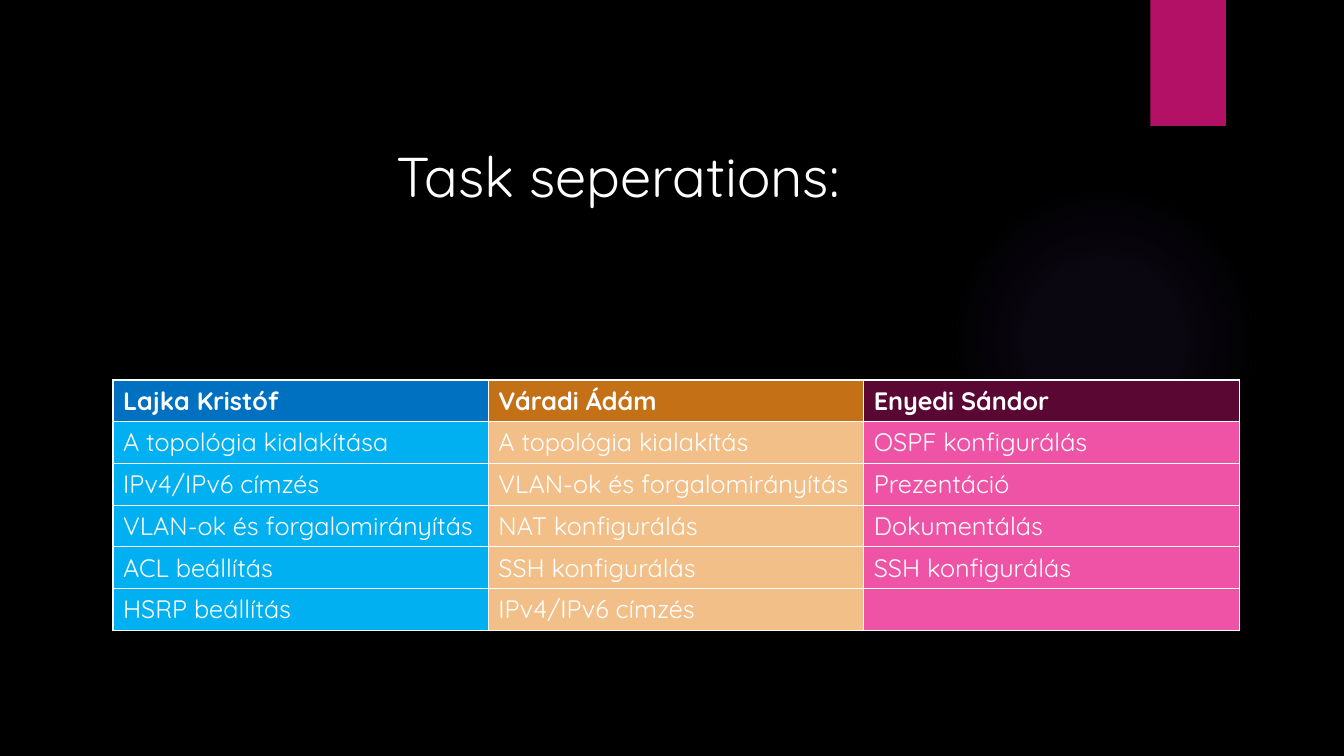
from lxml import etree
from pptx import Presentation
from pptx import util as u
from pptx.dml.color import RGBColor
from pptx.enum import shapes, text
from pptx.oxml import parse_xml
from pptx.oxml.ns import nsdecls, qn

COLOURS = {
    "background": "000000", "text": "FFFFFF", "glow": "9B6BF2", "tab": "B31166",
    "blue": "0070C0", "light blue": "00B0F0",
    "brown": "C47016", "light brown": "F2BF89",
    "plum": "5A0833", "pink": "EF53A5",
}

# Each person: header colour, task colour, name, tasks
PEOPLE = [
    ("blue", "light blue", "Lajka Kristóf",
     ["A topológia kialakítása", "IPv4/IPv6 címzés", "VLAN-ok és forgalomirányítás",
      "ACL beállítás", "HSRP beállítás"]),
    ("brown", "light brown", "Váradi Ádám",
     ["A topológia kialakítás", "VLAN-ok és forgalomirányítás", "NAT konfigurálás",
      "SSH konfigurálás", "IPv4/IPv6 címzés"]),
    ("plum", "pink", "Enyedi Sándor",
     ["OSPF konfigurálás", "Prezentáció", "Dokumentálás", "SSH konfigurálás", ""]),
]


class SlideBuilder:
    font_name = "Quicksand"

    def __init__(self, page):
        self.page = page
        self.fill(page.background, "background")

    def fill(self, target, colour):
        target.fill.solid()
        target.fill.fore_color.rgb = RGBColor.from_string(COLOURS[colour])

    def style(self, para, size, bold=False):
        para.font.name = self.font_name
        para.font.size = u.Pt(size)
        para.font.bold = bold
        para.font.color.rgb = RGBColor.from_string(COLOURS["text"])

    def shape(self, kind, colour, *place):
        shape = self.page.shapes.add_shape(kind, *map(u.Inches, place))
        shape.shadow.inherit = False
        shape.line.fill.background()
        self.fill(shape, colour)
        return shape

    def glow(self, colour, stops, *place):
        """Circle whose radial gradient fades out; stops are (position, opacity) in percent."""
        circle = self.shape(shapes.MSO_SHAPE.OVAL, colour, *place)
        marks = "".join(
            f'<a:gs pos="{position * 1000}"><a:srgbClr val="{COLOURS[colour]}">'
            f'<a:alpha val="{opacity * 1000}"/></a:srgbClr></a:gs>'
            for position, opacity in stops)
        gradient = parse_xml(
            f'<a:gradFill {nsdecls("a")}><a:gsLst>{marks}</a:gsLst><a:path path="circle">'
            '<a:fillToRect l="50000" t="50000" r="50000" b="50000"/></a:path></a:gradFill>')
        properties = circle._element.spPr
        properties.replace(properties.find(qn("a:solidFill")), gradient)

    def title(self, wording, size, *place):
        box = self.page.shapes.title
        box.left, box.top, box.width, box.height = map(u.Inches, place)
        frame = box.text_frame
        frame.text = wording
        frame.word_wrap = False
        frame.auto_size = text.MSO_AUTO_SIZE.NONE
        frame.vertical_anchor = text.MSO_ANCHOR.TOP
        para = frame.paragraphs[0]
        para.alignment = text.PP_ALIGN.LEFT
        para.line_spacing = 1.0
        para.space_before = u.Pt(0)
        self.style(para, size)

    def border(self, cell):
        properties = cell._tc.get_or_add_tcPr()
        for index, side in enumerate(("lnL", "lnR", "lnT", "lnB")):
            line = etree.Element(qn(f"a:{side}"), w=str(u.Pt(1)))
            solid = etree.SubElement(line, qn("a:solidFill"))
            etree.SubElement(solid, qn("a:srgbClr"), val=COLOURS["text"])
            properties.insert(index, line)

    def table(self, people, size, *place):
        row_count = 1 + max(len(tasks) for *_, tasks in people)
        frame = self.page.shapes.add_table(row_count, len(people), *map(u.Inches, place))
        table = frame.table
        table.first_row = table.horz_banding = False
        for column, (header, body, name, tasks) in enumerate(people):
            for row, wording in enumerate([name, *tasks]):
                cell = table.cell(row, column)
                cell.text = wording
                self.style(cell.text_frame.paragraphs[0], size, bold=row == 0)
                self.fill(cell, body if row else header)
                self.border(cell)


def main():
    deck = Presentation()
    deck.slide_width, deck.slide_height = u.Inches(13.33), u.Inches(7.5)
    slide = SlideBuilder(deck.slides.add_slide(deck.slide_layouts[5]))

    # Backdrop
    slide.glow("glow", [(0, 7), (36, 6), (69, 0)], 9.41, 1.83, 3.08, 3.08)
    slide.shape(shapes.MSO_SHAPE.RECTANGLE, "tab", 11.41, 0, 0.75, 1.25)

    # Heading and tasks
    slide.title("Task seperations:", 40, 3.83, 1.35, 4.75, 0.77)
    slide.table(PEOPLE, 18, 1.12, 3.77, 11.17, 2.43)

    deck.save("out.pptx")


if __name__ == "__main__":
    main()
